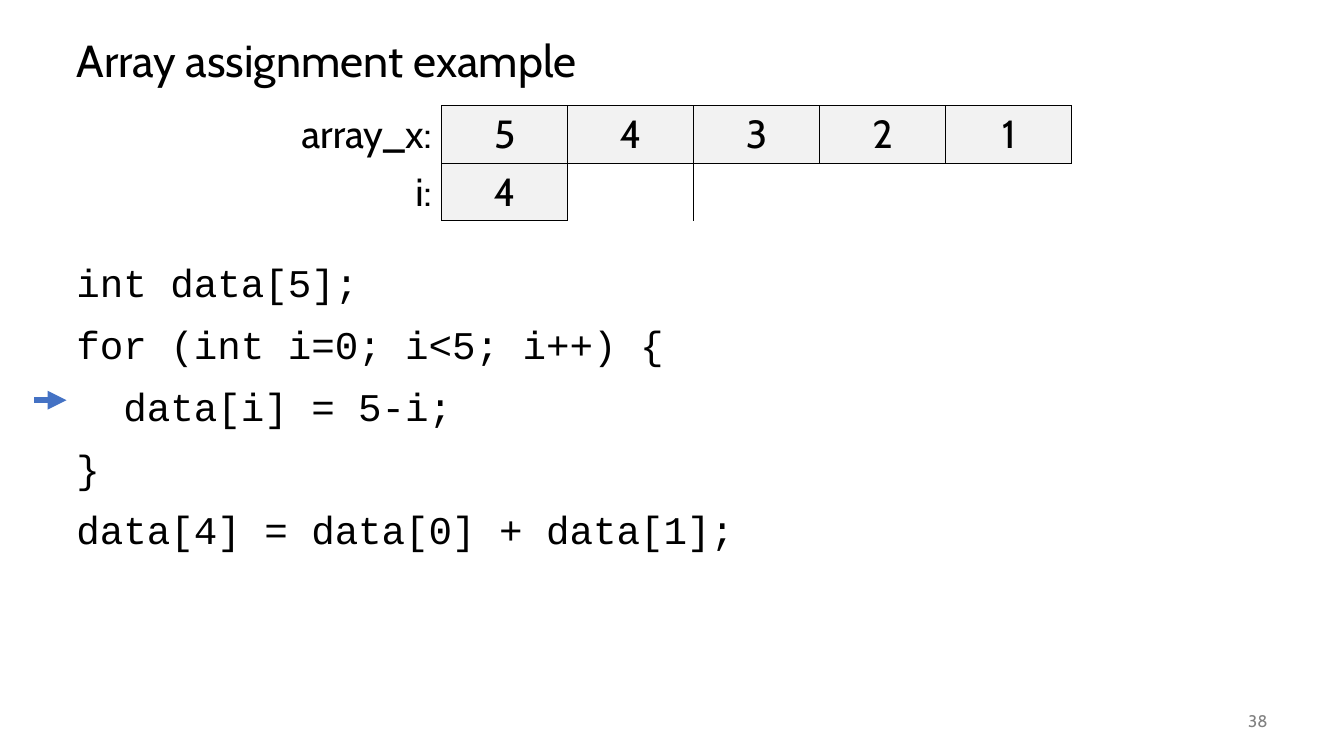
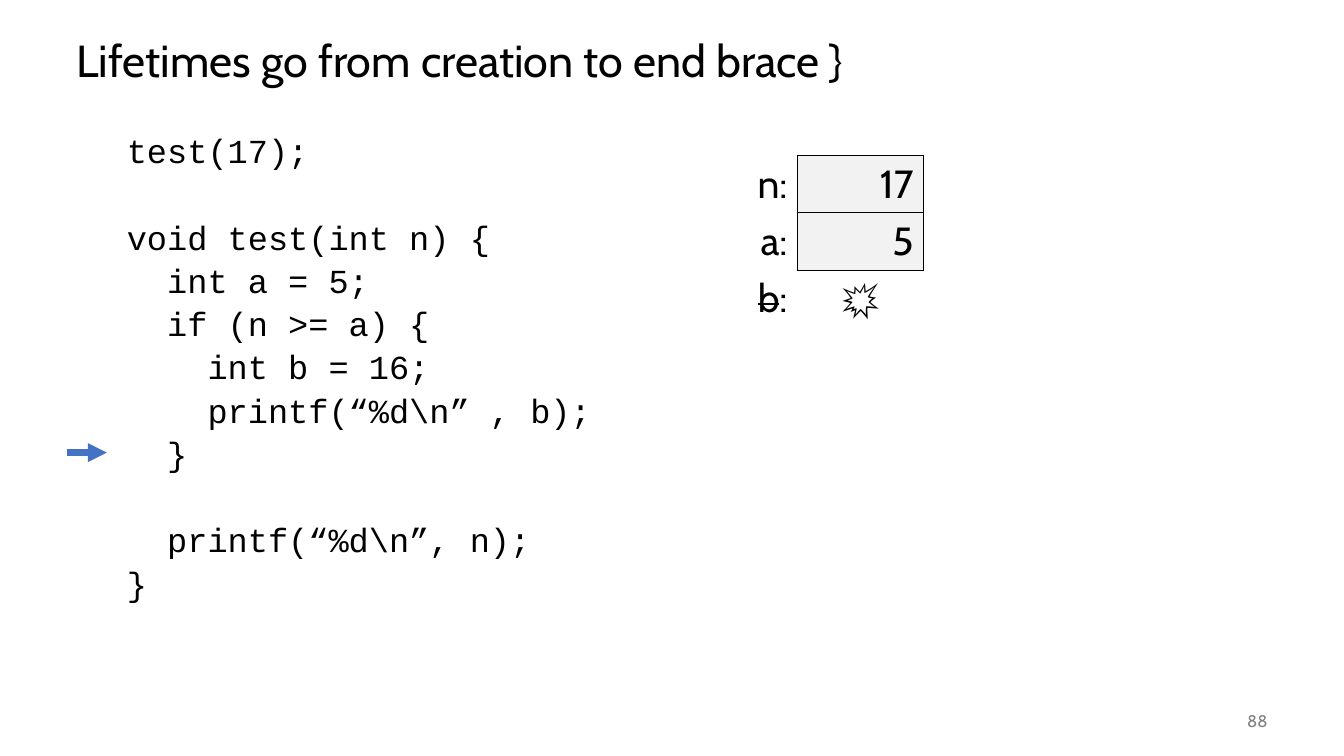
from lxml import etree
from pptx import Presentation
from pptx.dml.color import RGBColor
from pptx.enum.shapes import MSO_CONNECTOR
from pptx.enum.text import MSO_ANCHOR, PP_ALIGN
from pptx.oxml.ns import qn
from pptx.util import Pt

# Style
PX = 9144  # EMU in one px, 100 px to the inch
BLACK = RGBColor(0x00, 0x00, 0x00)
GRAY = RGBColor(0x80, 0x80, 0x80)
CELL_GRAY = RGBColor(0xF2, 0xF2, 0xF2)
BLUE = RGBColor(0x44, 0x72, 0xC4)
TEXT_FONT, CODE_FONT = "Cabin", "Courier New"
LEFT, CENTER, RIGHT = PP_ALIGN.LEFT, PP_ALIGN.CENTER, PP_ALIGN.RIGHT
TOP, MIDDLE = MSO_ANCHOR.TOP, MSO_ANCHOR.MIDDLE
STRAIGHT = MSO_CONNECTOR.STRAIGHT
NO_TABLE_STYLE = "{2D5ABB26-0587-4C30-8999-92F81FD0307C}"
CODE_LINE = 1.08  # line height as a share of the font size
ROW_HEIGHT = 57
VALUE_WIDTH = 125
# Border element and the row and column step to the neighbour on that side
SIDES = (("a:lnL", 0, -1), ("a:lnR", 0, 1), ("a:lnT", -1, 0), ("a:lnB", 1, 0))


class Deck:
    def __init__(self):
        self.presentation = Presentation()
        self.presentation.slide_width = 1333 * PX
        self.presentation.slide_height = 750 * PX
        self.slide = None

    def start_slide(self, title, number):
        self.slide = self.presentation.slides.add_slide(self.presentation.slide_layouts[6])
        heading = self.text_box(66, 25, 1200, 75, MIDDLE).paragraphs[0]
        self.set_text(heading, title, 32)
        heading.line_spacing = 0.9
        footer = self.text_box(1167, 695, 100, 40, MIDDLE).paragraphs[0]
        self.set_text(footer, number, 12, color=GRAY, align=RIGHT)

    def text_box(self, left, top, width, height, anchor=TOP):
        shape = self.slide.shapes.add_textbox(left * PX, top * PX, width * PX, height * PX)
        frame = shape.text_frame
        frame.word_wrap = True
        frame.vertical_anchor = anchor
        return frame

    def set_text(self, paragraph, text, size, font=TEXT_FONT, color=BLACK, align=LEFT):
        paragraph.alignment = align
        paragraph.font.name = font
        paragraph.font.size = Pt(size)
        paragraph.font.color.rgb = color
        paragraph.add_run().text = text

    def code(self, left, top, size, gap, source):
        """Set one paragraph a line; empty lines become space before the next."""
        frame = self.text_box(left, top, 1266 - left, 675 - top)
        line_height = round(size * CODE_LINE, 1)
        paragraph, empty_lines = frame.paragraphs[0], 0
        for number, line in enumerate(source.strip().split("\n")):
            if not line:
                empty_lines += 1
                continue
            if number:
                paragraph = frame.add_paragraph()
                paragraph.space_before = Pt(gap + empty_lines * (line_height + gap))
            self.set_text(paragraph, line, size, CODE_FONT)
            paragraph.line_spacing = Pt(line_height)
            empty_lines = 0

    def memory(self, left, top, label_width, rows, align, ended=()):
        """Draw variables: a label column, then boxes for the numbers."""
        widths = [label_width] + [VALUE_WIDTH] * (len(rows[0]) - 1)
        shape = self.slide.shapes.add_table(
            len(rows), len(widths), left * PX, top * PX,
            sum(widths) * PX, ROW_HEIGHT * len(rows) * PX)
        table = shape.table
        table.first_row = table.horz_banding = False
        shape.element.find(".//" + qn("a:tableStyleId")).text = NO_TABLE_STYLE
        for column, width in zip(table.columns, widths):
            column.width = width * PX
        boxed = {(r, c) for r, row in enumerate(rows)
                 for c, text in enumerate(row) if text.isdigit()}
        for r, row in enumerate(rows):
            table.rows[r].height = ROW_HEIGHT * PX
            for c, text in enumerate(row):
                cell = table.cell(r, c)
                self.borders(cell, r, c, boxed)
                if (r, c) in boxed:
                    cell.fill.solid()
                    cell.fill.fore_color.rgb = CELL_GRAY
                else:
                    cell.fill.background()
                if c == 0:
                    self.label(cell, text, text in ended)
                elif text:
                    self.set_text(cell.text_frame.paragraphs[0], text, 28,
                                  align=align if text.isdigit() else CENTER)

    def label(self, cell, name, struck):
        paragraph = cell.text_frame.paragraphs[0]
        if struck:
            self.set_text(paragraph, name, 28, align=RIGHT)
            paragraph.runs[0].font._element.set("strike", "sngStrike")
            paragraph.add_run().text = ":"
        else:
            self.set_text(paragraph, name + ":", 28, align=RIGHT)

    def borders(self, cell, r, c, boxed):
        """Line each side that touches a boxed cell."""
        properties = cell._tc.get_or_add_tcPr()
        for tag, down, right in SIDES:
            if (r, c) in boxed or (r + down, c + right) in boxed:
                line = etree.SubElement(properties, qn(tag), w=str(Pt(1)))
                fill = etree.SubElement(line, qn("a:solidFill"))
                etree.SubElement(fill, qn("a:srgbClr"), val=str(BLACK))

    def step_arrow(self, left, right, y):
        arrow = self.slide.shapes.add_connector(
            STRAIGHT, left * PX, y * PX, right * PX, y * PX)
        arrow.line.color.rgb = BLUE
        arrow.line.width = Pt(4.5)
        etree.SubElement(arrow.line._get_or_add_ln(), qn("a:tailEnd"), type="triangle")
        etree.SubElement(arrow._element.spPr, qn("a:effectLst"))


ASSIGNMENT_CODE = """
int data[5];
for (int i=0; i<5; i++) {
  data[i] = 5-i;
}
data[4] = data[0] + data[1];
"""

LIFETIME_CODE = """
test(17);

void test(int n) {
  int a = 5;
  if (n >= a) {
    int b = 16;
    printf(“%d\\n” , b);
  }

  printf(“%d\\n”, n);
}
"""


def main():
    deck = Deck()

    # Array assignment
    deck.start_slide("Array assignment example", "38")
    deck.code(66, 256, 28, 14, ASSIGNMENT_CODE)
    deck.memory(272, 105, 166, [["array_x", "5", "4", "3", "2", "1"],
                                ["i", "4", "", "", "", ""]], CENTER)
    deck.step_arrow(34, 66, 397)

    # Variable lifetimes
    deck.start_slide("Lifetimes go from creation to end brace }", "88")
    deck.code(116, 128, 24, 5, LIFETIME_CODE)
    deck.memory(666, 154, 125, [["n", "17"], ["a", "5"], ["b", "💥"]], RIGHT, ended=("b",))
    deck.step_arrow(66, 106, 449)

    deck.presentation.save("out.pptx")


if __name__ == "__main__":
    main()
